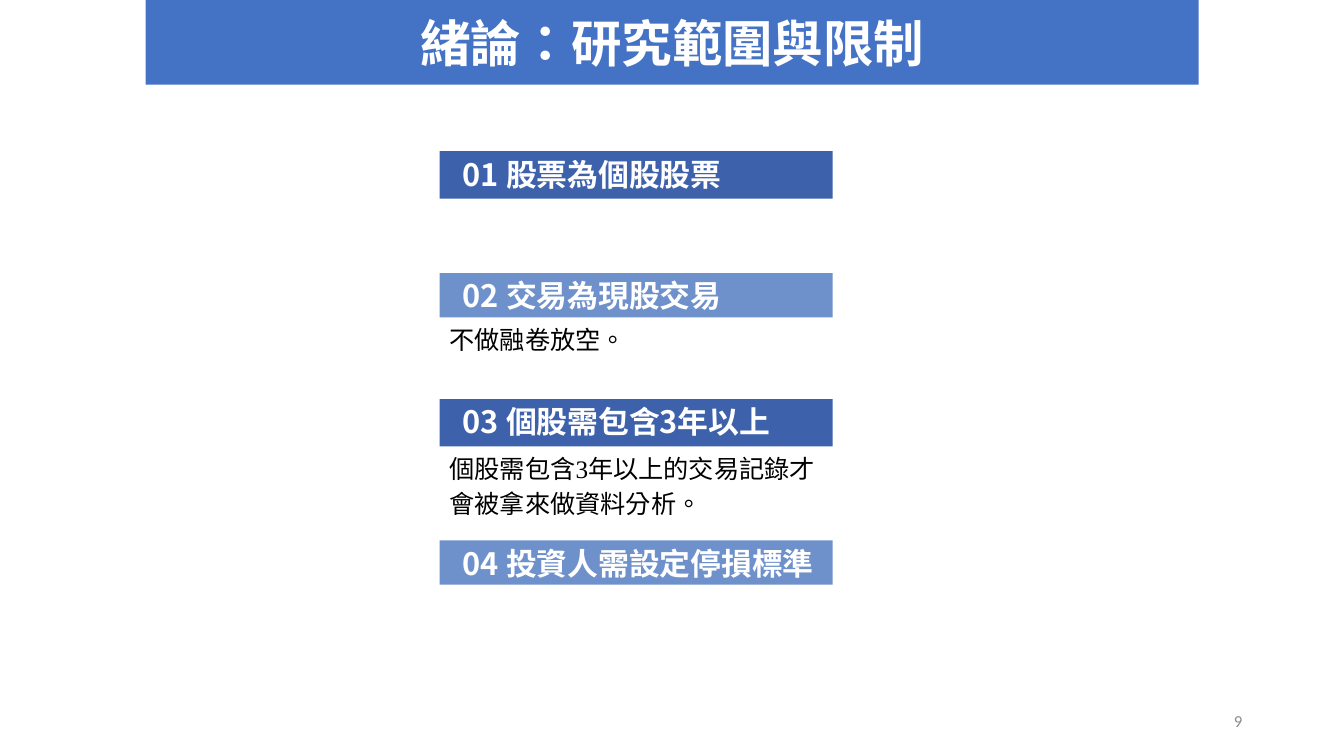
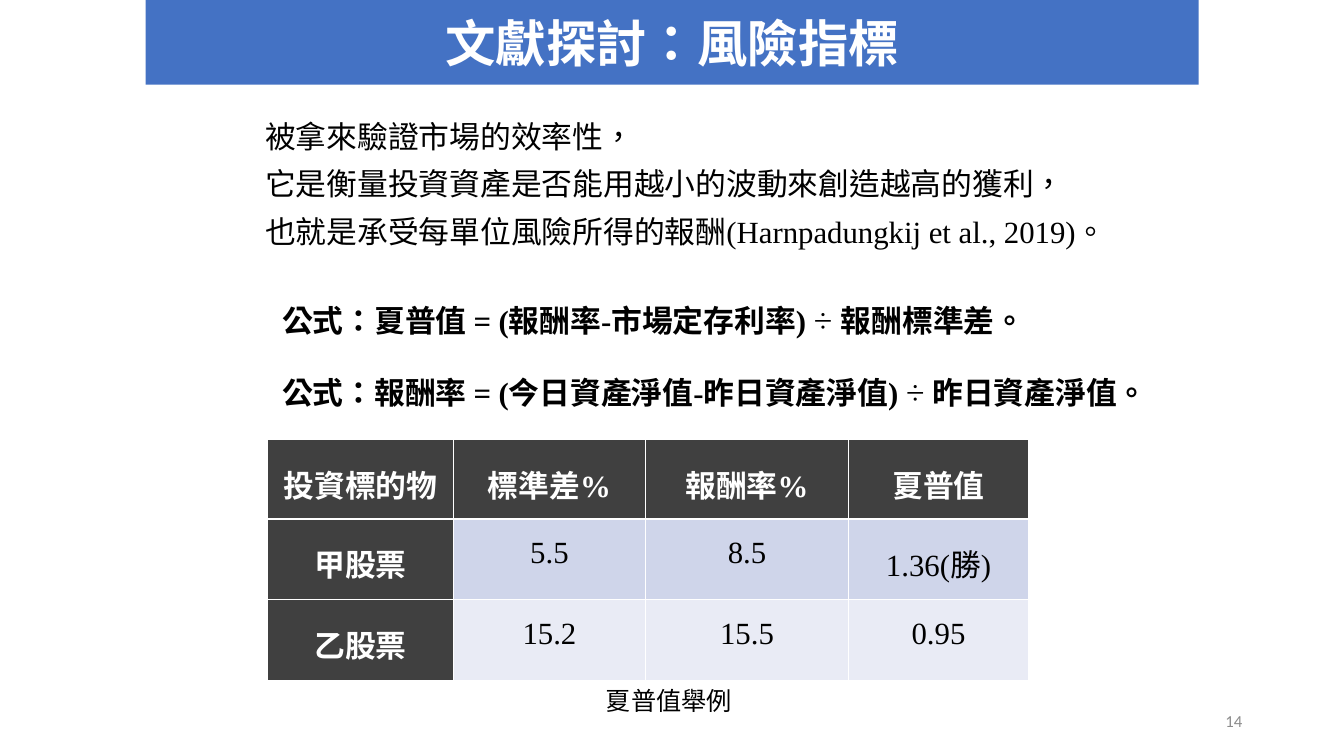
from lxml.etree import SubElement
from pptx import Presentation
from pptx.dml.color import RGBColor
from pptx.enum.lang import MSO_LANGUAGE_ID as Lang
from pptx.enum.shapes import MSO_SHAPE as Shape
from pptx.enum.text import MSO_ANCHOR as Anchor, MSO_AUTO_SIZE as AutoSize, PP_ALIGN as Align
from pptx.oxml.ns import qn
from pptx.util import Emu, Inches, Pt

WIDTH, HEIGHT = Inches(13.33), Inches(7.5)
SANS, SERIF, NUMERAL = "Noto Sans CJK SC", "Times New Roman", "Calibri"
COLORS = {
    "title_band": "4472C4", "bar_dark": "3D61AA", "bar_light": "6E91CB",
    "header": "404040", "row_odd": "CFD5EA", "row_even": "E9EBF5",
    "white": "FFFFFF", "black": "000000", "page": "8C8C8C",
}
TITLE_ONLY, TITLE_AND_BODY = 5, 1

# All lengths are percentages of the slide's width or height.
TITLE_BOX = (10.83, 0, 78.36, 11.2)
PAGE_BOX = (70.67, 92.67, 22.5, 5.33)
BAR_LEFT, BAR_WIDTH = 32.71, 29.25
NOTE_OVERLAP = 0.3
FORMULA_TOP, FORMULA_STEP = 38.93, 9.47
TABLE_LEFT, TABLE_TOP = 19.88, 58.13
TABLE_COLUMNS = (13.88, 14.25, 15.15, 13.35)
TABLE_ROWS = (10.53, 10.67, 10.67)

# Text, top, height, fill, note below, note height
LIMITS = [
    ("01 股票為個股股票", 20, 6.27, "bar_dark", None, 0),
    ("02 交易為現股交易", 36.13, 5.87, "bar_light", "不做融卷放空。", 5.6),
    ("03 個股需包含3年以上", 52.8, 6.27, "bar_dark",
     "個股需包含3年以上的交易記錄才會被拿來做資料分析。", 10.27),
    ("04 投資人需設定停損標準", 71.47, 5.87, "bar_light", None, 0),
]
SHARPE_LINES = [
    "被拿來驗證市場的效率性，",
    "它是衡量投資資產是否能用越小的波動來創造越高的獲利，",
    "也就是承受每單位風險所得的報酬(Harnpadungkij et al., 2019)。",
]
FORMULAS = [
    ("公式：夏普值 = (報酬率-市場定存利率) ", "÷ ", "報酬標準差。"),
    ("公式：報酬率 = (今日資產淨值-昨日資產淨值) ", "÷", " 昨日資產淨值。"),
]
SHARPE_TABLE = [
    ("投資標的物", "標準差%", "報酬率%", "夏普值"),
    ("甲股票", "5.5", "8.5", "1.36(勝)"),
    ("乙股票", "15.2", "15.5", "0.95"),
]


def across(percent):
    return Emu(round(WIDTH * percent / 100))


def down(percent):
    return Emu(round(HEIGHT * percent / 100))


def area(left, top, width, height):
    return across(left), down(top), across(width), down(height)


def paint(target, color):
    target.fill.solid()
    target.fill.fore_color.rgb = RGBColor.from_string(COLORS[color])


def add_run(paragraph, text, size, face=SERIF, color="black", bold=False):
    run = paragraph.add_run()
    run.text = text
    font = run.font
    font.size, font.name, font.bold = Pt(size), face, bold
    font.color.rgb = RGBColor.from_string(COLORS[color])
    font.language_id = Lang.TRADITIONAL_CHINESE
    SubElement(run._r.get_or_add_rPr(), qn("a:ea")).set("typeface", SANS)


def add_text(slide, box):
    """Add a wrapping text box and return its first paragraph."""
    frame = slide.shapes.add_textbox(*area(*box)).text_frame
    frame.word_wrap = True
    return frame.paragraphs[0]


def place(placeholder, box):
    placeholder.left, placeholder.top, placeholder.width, placeholder.height = area(*box)
    placeholder.text_frame.auto_size = AutoSize.NONE


def round_lower_corners(shape):
    geometry = SubElement(shape._element.spPr, qn("a:prstGeom"), prst="round2SameRect")
    guides = SubElement(geometry, qn("a:avLst"))
    for name, value in (("adj1", 0), ("adj2", 12500)):
        SubElement(guides, qn("a:gd"), name=name, fmla=f"val {value}")


def add_slide(deck, layout, title, page):
    slide = deck.slides.add_slide(deck.slide_layouts[layout])
    heading = slide.shapes.title
    place(heading, TITLE_BOX)
    round_lower_corners(heading)
    paint(heading, "title_band")
    heading.text_frame.vertical_anchor = Anchor.MIDDLE
    line = heading.text_frame.paragraphs[0]
    line.alignment = Align.CENTER
    add_run(line, title, 36, SANS, "white", True)

    number = add_text(slide, PAGE_BOX)
    number.alignment = Align.RIGHT
    slide.shapes[-1].text_frame.vertical_anchor = Anchor.MIDDLE
    add_run(number, str(page), 12, NUMERAL, "page")
    return slide


def add_bar(slide, text, top, height, color):
    bar = slide.shapes.add_shape(Shape.RECTANGLE, *area(BAR_LEFT, top, BAR_WIDTH, height))
    bar.shadow.inherit = False
    paint(bar, color)
    bar.line.fill.background()
    frame = bar.text_frame
    frame.word_wrap = True
    frame.vertical_anchor = Anchor.TOP
    frame.margin_left, frame.margin_right = Inches(0.23), 0
    frame.margin_top = frame.margin_bottom = Inches(0.04)
    frame.paragraphs[0].alignment = Align.LEFT
    add_run(frame.paragraphs[0], text, 22, SANS, "white", True)


def add_note(slide, text, top, height):
    note = add_text(slide, (BAR_LEFT, top, BAR_WIDTH, height))
    note.line_spacing = 1.14
    add_run(note, text, 18)


def fill_body(slide, lines):
    body = slide.placeholders[1]
    place(body, (18.98, 15.47, 66.92, 22.53))
    frame = body.text_frame
    for index, text in enumerate(lines):
        paragraph = frame.add_paragraph() if index else frame.paragraphs[0]
        properties = paragraph._p.get_or_add_pPr()
        properties.set("marL", "0")
        properties.set("indent", "0")
        SubElement(properties, qn("a:buNone"))
        paragraph.line_spacing = 0.9
        paragraph.space_before = Pt(10 if index else 0)
        add_run(paragraph, text, 22)


def add_formula(slide, top, parts):
    left_side, sign, divisor = parts
    formula = add_text(slide, (20.25, top, 71.34, 6.67))
    add_run(formula, left_side, 22, bold=True)
    add_run(formula, sign, 24)
    add_run(formula, divisor, 22, bold=True)


def fill_cell(cell, text, color, is_header):
    paint(cell, color)
    cell.margin_left = cell.margin_right = Inches(0.07)
    cell.margin_top = cell.margin_bottom = 0
    paragraph = cell.text_frame.paragraphs[0]
    paragraph.alignment = Align.CENTER
    paragraph.line_spacing = 1.5
    add_run(paragraph, text, 22, color="white" if is_header else "black", bold=is_header)


def add_sharpe_table(slide):
    box = area(TABLE_LEFT, TABLE_TOP, sum(TABLE_COLUMNS), sum(TABLE_ROWS))
    table = slide.shapes.add_table(len(TABLE_ROWS), len(TABLE_COLUMNS), *box).table
    for column, width in zip(table.columns, TABLE_COLUMNS):
        column.width = across(width)
    for row, height in zip(table.rows, TABLE_ROWS):
        row.height = down(height)
    for r, values in enumerate(SHARPE_TABLE):
        for c, text in enumerate(values):
            is_header = r == 0 or c == 0
            band = "row_odd" if r % 2 else "row_even"
            fill_cell(table.cell(r, c), text, "header" if is_header else band, is_header)


def build_limits(deck):
    slide = add_slide(deck, TITLE_ONLY, "緒論：研究範圍與限制", 9)
    for text, top, height, color, note, note_height in LIMITS:
        add_bar(slide, text, top, height, color)
        if note:
            add_note(slide, note, top + height - NOTE_OVERLAP, note_height)


def build_risk(deck):
    slide = add_slide(deck, TITLE_AND_BODY, "文獻探討：風險指標", 14)
    fill_body(slide, SHARPE_LINES)
    for index, parts in enumerate(FORMULAS):
        add_formula(slide, FORMULA_TOP + index * FORMULA_STEP, parts)
    add_sharpe_table(slide)
    add_run(add_text(slide, (44.34, 90, 11.4, 5.33)), "夏普值舉例", 18, SANS)


def main():
    deck = Presentation()
    deck.slide_width, deck.slide_height = WIDTH, HEIGHT
    build_limits(deck)
    build_risk(deck)
    deck.save("out.pptx")


if __name__ == "__main__":
    main()
